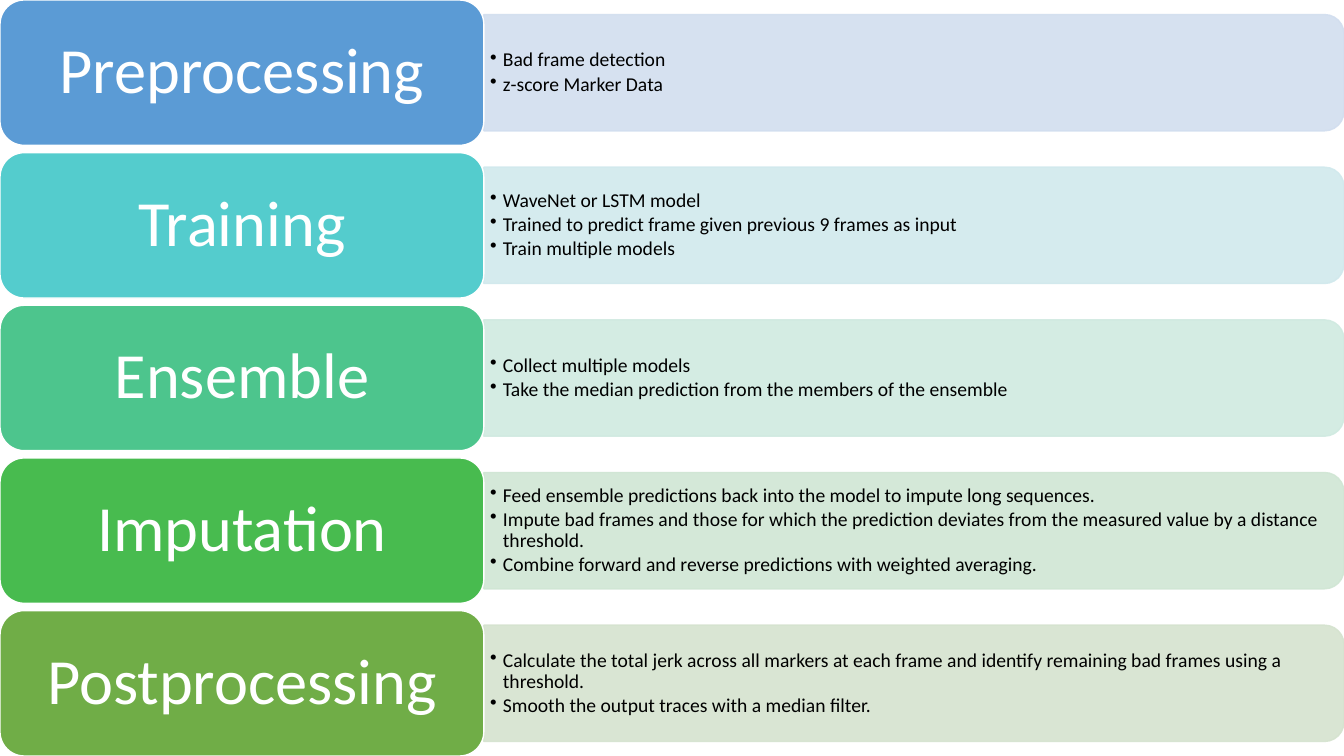
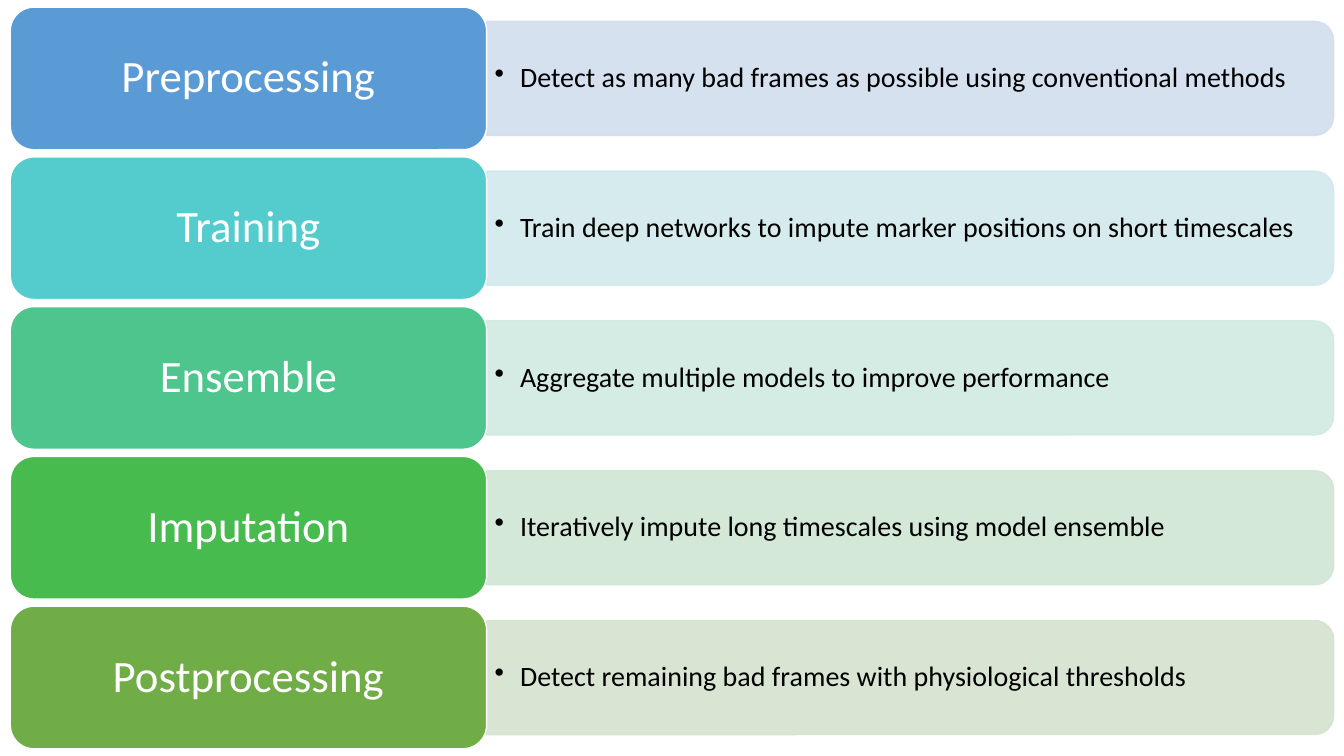
"""Build two slides that show the stages of a pipeline as labelled rows."""
from dataclasses import dataclass

from pptx import Presentation
from pptx.dml.color import RGBColor
from pptx.enum import shapes, text
from pptx.oxml.ns import qn
from pptx.util import Cm, Pt
from lxml import etree

FONT = "Calibri"
WHITE = RGBColor(0xFF, 0xFF, 0xFF)
BLACK = RGBColor(0x00, 0x00, 0x00)
BLUE = RGBColor(0x5B, 0x9B, 0xD5)
TURQUOISE = RGBColor(0x54, 0xCC, 0xCD)
MINT = RGBColor(0x4D, 0xC5, 0x8D)
GREEN = RGBColor(0x48, 0xBB, 0x4F)
OLIVE = RGBColor(0x70, 0xAD, 0x47)
PALE_BLUE = RGBColor(0xD2, 0xDE, 0xEF)
PALE_TURQUOISE = RGBColor(0xD1, 0xE9, 0xED)
PALE_MINT = RGBColor(0xD0, 0xEA, 0xE1)
PALE_GREEN = RGBColor(0xD0, 0xE6, 0xD4)
PALE_OLIVE = RGBColor(0xD5, 0xE3, 0xCF)

PAGE_WIDTH, PAGE_HEIGHT = Cm(33.87), Cm(19.05)
LABEL_SHARE = 0.36
PANEL_SHARE = 0.8
GAP_SHARE = 0.05
PANEL_OPACITY = 90

STAGES = [
    ("Preprocessing", BLUE, PALE_BLUE),
    ("Training", TURQUOISE, PALE_TURQUOISE),
    ("Ensemble", MINT, PALE_MINT),
    ("Imputation", GREEN, PALE_GREEN),
    ("Postprocessing", OLIVE, PALE_OLIVE),
]

DETAILS = [
    ["Bad frame detection", "z-score Marker Data"],
    ["WaveNet or LSTM model",
     "Trained to predict frame given previous 9 frames as input",
     "Train multiple models"],
    ["Collect multiple models",
     "Take the median prediction from the members of the ensemble"],
    ["Feed ensemble predictions back into the model to impute long sequences.",
     "Impute bad frames and those for which the prediction deviates from the "
     "measured value by a distance threshold.",
     "Combine forward and reverse predictions with weighted averaging."],
    ["Calculate the total jerk across all markers at each frame and identify "
     "remaining bad frames using a threshold.",
     "Smooth the output traces with a median filter."],
]

SUMMARY = [
    ["Detect as many bad frames as possible using conventional methods"],
    ["Train deep networks to impute marker positions on short timescales"],
    ["Aggregate multiple models to improve performance"],
    ["Iteratively impute long timescales using model ensemble"],
    ["Detect remaining bad frames with physiological thresholds"],
]


@dataclass
class Layout:
    """Margins and text measures of one slide."""
    margin_x: Cm
    margin_y: Cm
    label_size: int
    bullet_size: int
    bullet_inset: Cm
    hanging: Cm


DETAIL_LAYOUT = Layout(Cm(0), Cm(0), 46, 14, Cm(0.16), Cm(0.32))
SUMMARY_LAYOUT = Layout(Cm(0.26), Cm(0.18), 32, 20, Cm(0.2), Cm(0.64))


def paint(shape, fill, line):
    """Give a shape a flat fill and a thin outline."""
    shape.shadow.inherit = False
    shape.fill.solid()
    shape.fill.fore_color.rgb = fill
    shape.line.color.rgb = line
    shape.line.width = Pt(1)


def set_opacity(shape, percent):
    """Make the fill and outline of a shape partly transparent."""
    for color in shape._element.spPr.iter(qn("a:srgbClr")):
        etree.SubElement(color, qn("a:alpha")).set("val", str(percent * 1000))


def set_font(paragraph, size, color):
    """Set the font and line spacing of a paragraph."""
    paragraph.line_spacing = 0.9
    paragraph.font.name = FONT
    paragraph.font.size = Pt(size)
    paragraph.font.color.rgb = color


def add_panel(page, left, top, width, height, color):
    """Add a bar whose right-hand corners are rounded."""
    panel = page.shapes.add_shape(
        shapes.MSO_SHAPE.ROUND_2_SAME_RECTANGLE,
        left + (width - height) // 2, top + (height - width) // 2, height, width)
    panel.rotation = 90
    paint(panel, color, color)
    set_opacity(panel, PANEL_OPACITY)


def add_bullets(page, left, top, width, height, lines, layout):
    """Add a vertically centred bullet list."""
    box = page.shapes.add_textbox(left, top, width, height)
    frame = box.text_frame
    frame.word_wrap = True
    frame.vertical_anchor = text.MSO_ANCHOR.MIDDLE
    frame.margin_left, frame.margin_right = layout.bullet_inset, Cm(0.3)
    frame.margin_top = frame.margin_bottom = Cm(0.08)
    frame.text = "\n".join(lines)
    for paragraph in frame.paragraphs:
        paragraph.level = 1
        properties = paragraph._p.get_or_add_pPr()
        properties.set("marL", str(layout.hanging))
        properties.set("indent", str(-layout.hanging))
        etree.SubElement(properties, qn("a:buChar")).set("char", "•")
        paragraph.space_after = Pt(layout.bullet_size * 0.15)
        set_font(paragraph, layout.bullet_size, BLACK)


def add_label(page, left, top, width, height, name, color, size):
    """Add the rounded box that names a stage."""
    label = page.shapes.add_shape(
        shapes.MSO_SHAPE.ROUNDED_RECTANGLE, left, top, width, height)
    paint(label, color, WHITE)
    frame = label.text_frame
    frame.word_wrap = True
    frame.vertical_anchor = text.MSO_ANCHOR.MIDDLE
    frame.margin_left = frame.margin_right = Cm(0.47)
    frame.margin_top = frame.margin_bottom = Cm(0.25)
    frame.text = name
    paragraph = frame.paragraphs[0]
    paragraph.alignment = text.PP_ALIGN.CENTER
    set_font(paragraph, size, WHITE)


def add_stage_page(deck, bullets, layout):
    """Add a slide with one row for each stage."""
    page = deck.slides.add_slide(deck.slide_layouts[6])
    width = PAGE_WIDTH - 2 * layout.margin_x
    count = len(STAGES)
    row_height = int((PAGE_HEIGHT - 2 * layout.margin_y)
                     / (count + (count - 1) * GAP_SHARE))
    label_width = int(width * LABEL_SHARE)
    panel_left = layout.margin_x + label_width
    panel_width = width - label_width
    panel_height = int(row_height * PANEL_SHARE)
    for row, ((name, color, pale), lines) in enumerate(zip(STAGES, bullets)):
        top = layout.margin_y + int(row * row_height * (1 + GAP_SHARE))
        panel_top = top + (row_height - panel_height) // 2
        panel_area = (panel_left, panel_top, panel_width, panel_height)
        add_panel(page, *panel_area, pale)
        add_bullets(page, *panel_area, lines, layout)
        add_label(page, layout.margin_x, top, label_width, row_height,
                  name, color, layout.label_size)


def main():
    """Build and save the deck."""
    deck = Presentation()
    deck.slide_width, deck.slide_height = PAGE_WIDTH, PAGE_HEIGHT
    add_stage_page(deck, DETAILS, DETAIL_LAYOUT)
    add_stage_page(deck, SUMMARY, SUMMARY_LAYOUT)
    deck.save("out.pptx")


main()
